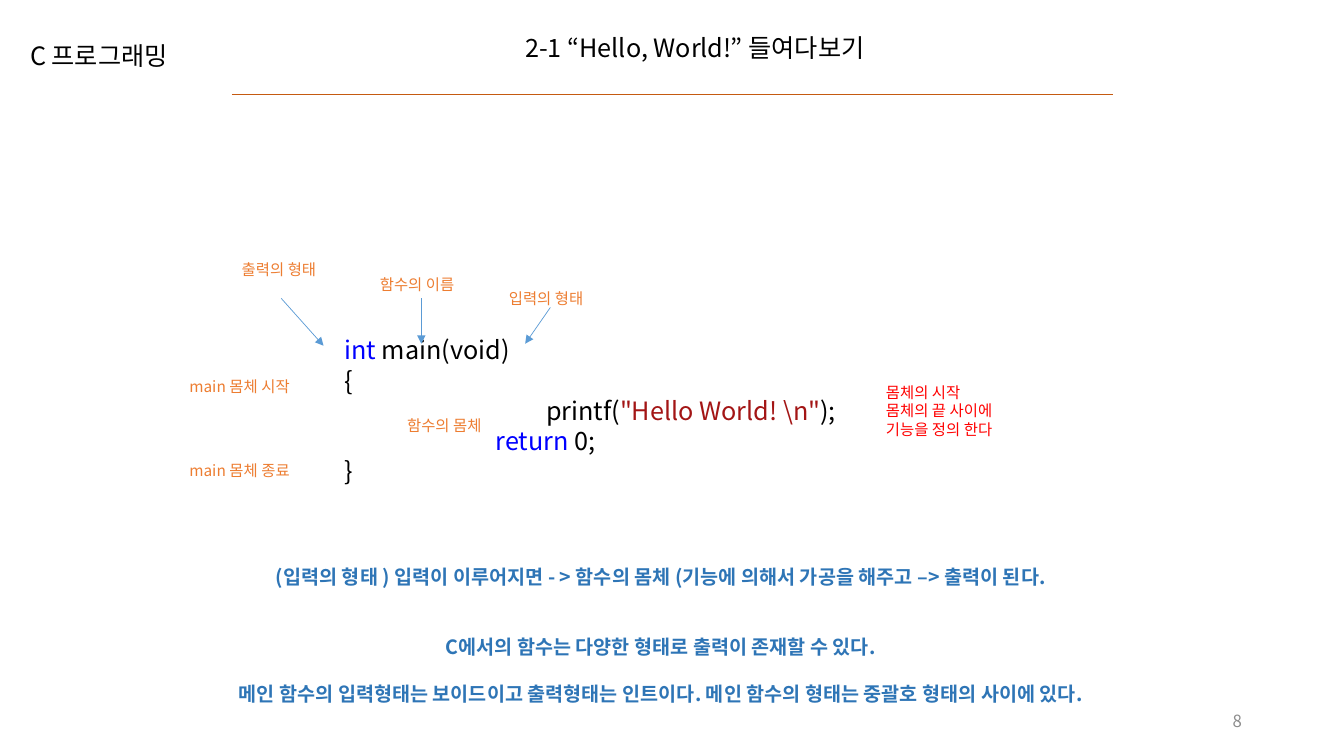
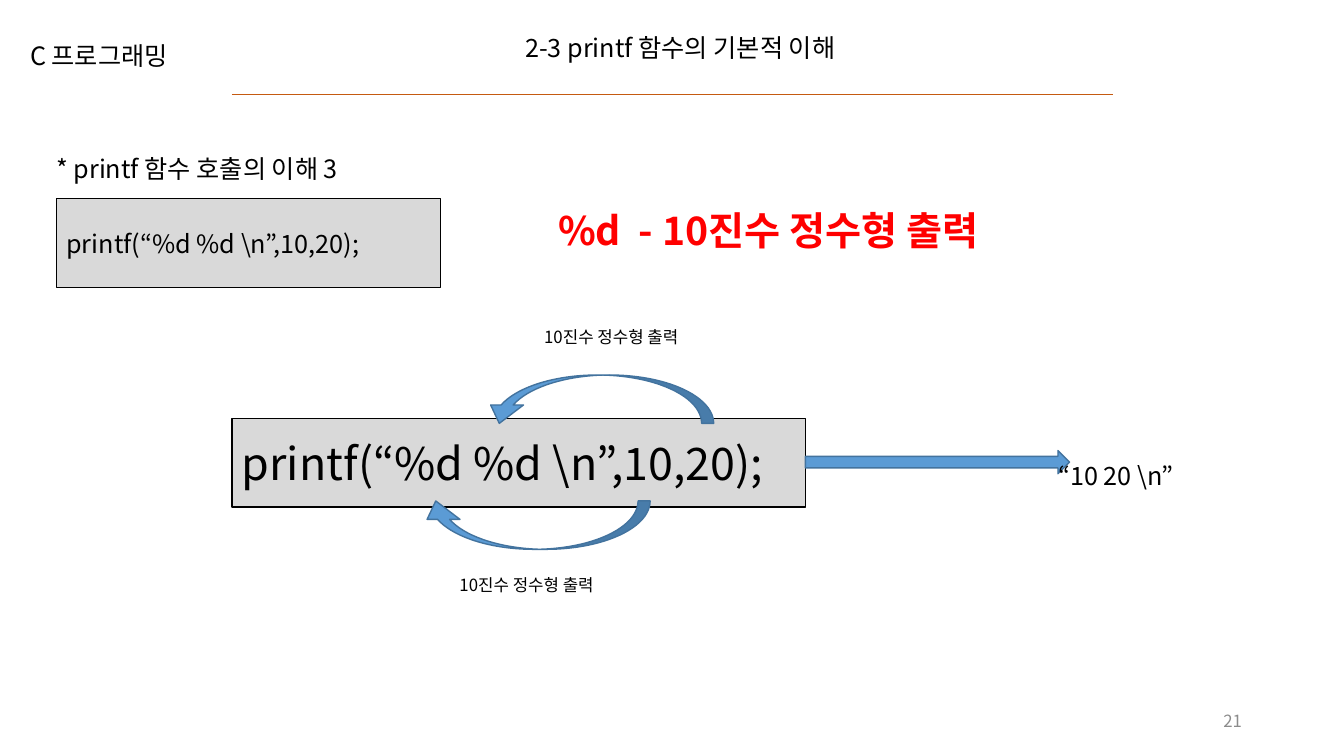
from dataclasses import dataclass

from lxml import etree
from pptx import Presentation
from pptx.dml.color import RGBColor
from pptx.enum.shapes import MSO_CONNECTOR, MSO_SHAPE
from pptx.enum.text import MSO_ANCHOR, MSO_AUTO_SIZE, PP_ALIGN
from pptx.oxml.ns import qn
from pptx.util import Inches, Pt

LEFT, CENTER, RIGHT = PP_ALIGN.LEFT, PP_ALIGN.CENTER, PP_ALIGN.RIGHT
TOP, MIDDLE = MSO_ANCHOR.TOP, MSO_ANCHOR.MIDDLE
FIXED = MSO_AUTO_SIZE.NONE
LINE = MSO_CONNECTOR.STRAIGHT
RECT, ARROW, CURVE = MSO_SHAPE.RECTANGLE, MSO_SHAPE.RIGHT_ARROW, MSO_SHAPE.CURVED_DOWN_ARROW
CELL = Inches(0.1)
COLS, ROWS = 133.33, 75


@dataclass(frozen=True)
class Theme:
    """Colours, type sizes and line widths."""
    font: str = "Noto Sans CJK KR"
    ink: str = "000000"
    rule: str = "C55A11"
    label: str = "ED7D31"
    alert: str = "FF0000"
    fact: str = "2E75B6"
    arrow: str = "5B9BD5"
    edge: str = "43739E"
    panel: str = "D9D9D9"
    number: str = "8C8C8C"
    key: str = "0000FF"
    string: str = "A31515"
    tiny: int = 11
    small: int = 12
    note: int = 14
    body: int = 18
    head: int = 28
    big: int = 32
    thin: float = 0.5
    line: float = 1


T = Theme()


@dataclass(frozen=True)
class Box:
    """A region of the slide, in grid cells."""
    x: float
    y: float
    w: float
    h: float

    def inner(self, x, y, w, h):
        """Return a box placed from this box's corner."""
        return Box(self.x + x, self.y + y, w, h)

    def place(self):
        """Return left, top, width and height as lengths."""
        return [round(v * CELL) for v in (self.x, self.y, self.w, self.h)]


def rgb(code):
    """Turn a hex code into a colour."""
    return RGBColor.from_string(code)


def style(run, size, color, bold=False):
    """Format one run for Latin and Korean text."""
    font = run.font
    font.name, font.size, font.bold = T.font, Pt(size), bold
    font.color.rgb = rgb(color)
    east = etree.SubElement(font._element, qn("a:ea"))
    east.set("typeface", T.font)


def write(shape, text, size=T.body, color=T.ink, bold=False, align=LEFT, anchor=TOP):
    """Fill a shape with text in one style."""
    frame = shape.text_frame
    frame.text = text
    frame.word_wrap, frame.auto_size = True, FIXED
    frame.vertical_anchor = anchor
    for par in frame.paragraphs:
        par.alignment = align
        for run in par.runs:
            style(run, size, color, bold)
    return frame


def add_text(page, box, text, **look):
    """Add a text box."""
    return write(page.shapes.add_textbox(*box.place()), text, **look)


def add_form(page, kind, box, fill, edge):
    """Add a filled and outlined preset shape."""
    form = page.shapes.add_shape(kind, *box.place())
    form.shadow.inherit = False
    form.fill.solid()
    form.fill.fore_color.rgb = rgb(fill)
    form.line.color.rgb = rgb(edge)
    form.line.width = Pt(T.line)
    return form


def add_line(page, box, color, head=False):
    """Draw a line across a box, with an optional arrowhead."""
    x, y, w, h = box.place()
    line = page.shapes.add_connector(LINE, x, y, x + w, y + h)
    line.line.color.rgb = rgb(color)
    line.line.width = Pt(T.thin)
    if head:
        tip = etree.SubElement(line.line._get_or_add_ln(), qn("a:tailEnd"))
        tip.set("type", "triangle")
    etree.SubElement(line._element.spPr, qn("a:effectLst"))


def add_panel(page, box, text, size):
    """Add a grey code panel."""
    write(add_form(page, RECT, box, T.panel, T.ink), text, size=size, anchor=MIDDLE)


def add_curve(page, box, under=False):
    """Add a curved arrow whose tip is on the left."""
    form = add_form(page, CURVE, box, T.arrow, T.edge)
    for i, share in enumerate((0.25, 0.68, 0.38)):
        form.adjustments[i] = share
    frame = form._element.spPr.find(qn("a:xfrm"))
    frame.set("flipH", "1")
    if under:
        frame.set("flipV", "1")


def add_page(deck, title, number):
    """Add a slide with the shared header and page number."""
    page = deck.slides.add_slide(deck.slide_layouts[5])
    full = Box(0, 0, COLS, ROWS)
    add_line(page, full.inner(23, 9.4, 87.4, 0), T.rule)
    add_text(page, full.inner(2, 3.5, 17.1, 4), "C 프로그래밍")
    head = page.shapes.title
    head.left, head.top, head.width, head.height = full.inner(51.1, 2.7, 40, 4).place()
    write(head, title)
    add_text(page, full.inner(94.2, 69.5, 30, 4), number, size=T.small,
             color=T.number, align=RIGHT, anchor=MIDDLE)
    return page


def add_code(page, box):
    """Write the program with coloured words and indents."""
    rows = [
        (0, [("int", T.key), (" main(void)", T.ink)]),
        (0, [("{", T.ink)]),
        (2, [("printf(", T.ink), ('"Hello World! \\n"', T.string), (");", T.ink)]),
        (1.5, [("return ", T.key), ("0;", T.ink)]),
        (0, [("}", T.ink)]),
    ]
    frame = add_text(page, box, "\n".join("" for _ in rows))
    for par, (dent, words) in zip(frame.paragraphs, rows):
        par._p.get_or_add_pPr().set("marL", str(Inches(dent)))
        for text, color in words:
            run = par.add_run()
            run.text = text
            style(run, T.body, color)


def add_map(page, box):
    """Place the program with its labels and arrows."""
    add_code(page, box.inner(15.4, 7.4, 66.7, 16.2))
    labels = [
        (5.2, 0, "출력의 형태"), (18.9, 1.5, "함수의 이름"), (31.7, 2.9, "입력의 형태"),
        (0, 11.6, "main 몸체 시작"), (0, 20, "main 몸체 종료"), (21.6, 15.5, "함수의 몸체"),
    ]
    for x, y, text in labels:
        add_text(page, box.inner(x, y, 12.7, 2.9), text, size=T.tiny, color=T.label)
    for arrow in ((10.1, 4.3, 4.2, 4.7), (24, 4.3, 0, 4.5), (36.8, 5.2, -2.5, 3.6)):
        add_line(page, box.inner(*arrow), T.arrow, head=True)
    add_text(page, box.inner(69.1, 12.2, 13.9, 6.6),
             "몸체의 시작\n몸체의 끝 사이에\n기능을 정의 한다", size=T.tiny, color=T.alert)


def add_facts(page, box):
    """Write the centred summary lines."""
    lines = [
        "(입력의 형태 ) 입력이 이루어지면 - > 함수의 몸체 (기능에 의해서 가공을 해주고 –> 출력이 된다.",
        "C에서의 함수는 다양한 형태로 출력이 존재할 수 있다.",
        "메인 함수의 입력형태는 보이드이고 출력형태는 인트이다. 메인 함수의 형태는 중괄호 형태의 사이에 있다.",
    ]
    frame = add_text(page, box, "\n".join(lines), size=T.note, color=T.fact,
                     bold=True, align=CENTER)
    for par, gap in zip(frame.paragraphs[1:], (33.5, 17)):
        par.space_before = Pt(gap)


def add_call(page, box, code):
    """Place the heading, the call and its format rule."""
    add_text(page, box.inner(0, 0, 34, 4), "* printf 함수 호출의 이해 3")
    add_panel(page, box.inner(1, 5, 38.1, 8.8), code, T.body)
    add_text(page, box.inner(49.8, 5.3, 48.5, 5.7), "%d  - 10진수 정수형 출력",
             size=T.head, color=T.alert, bold=True)


def add_trace(page, box, code):
    """Show how each value reaches its format and the output."""
    add_panel(page, box.inner(0, 9.6, 56.9, 8.8), code, T.big)
    for x, y, under in ((24.9, 5.3, False), (18.6, 17.8, True)):
        add_curve(page, box.inner(x, y, 22.9, 4.8), under)
    for x, y in ((30, 0), (21.6, 24.6)):
        add_text(page, box.inner(x, y, 16.9, 3), "10진수 정수형 출력", size=T.small)
    add_form(page, ARROW, box.inner(56.9, 12.8, 26.2, 2.3), T.arrow, T.edge)
    add_text(page, box.inner(81, 13.3, 14.6, 4), "“10 20 \\n”")


def main():
    """Build and save the deck."""
    deck = Presentation()
    deck.slide_width, deck.slide_height = round(COLS * CELL), ROWS * CELL
    page = add_page(deck, "2-1 “Hello, World!” 들여다보기", "8")
    add_map(page, Box(17.8, 25.3, 83, 23.6))
    add_facts(page, Box(17.8, 55.5, 95.5, 15.1))
    page = add_page(deck, "2-3 printf 함수의 기본적 이해", "21")
    code = "printf(“%d %d \\n”,10,20);"
    add_call(page, Box(4.6, 14.7, 98.3, 13.8), code)
    add_trace(page, Box(23, 31.9, 95.6, 27.6), code)
    deck.save("out.pptx")


if __name__ == "__main__":
    main()
